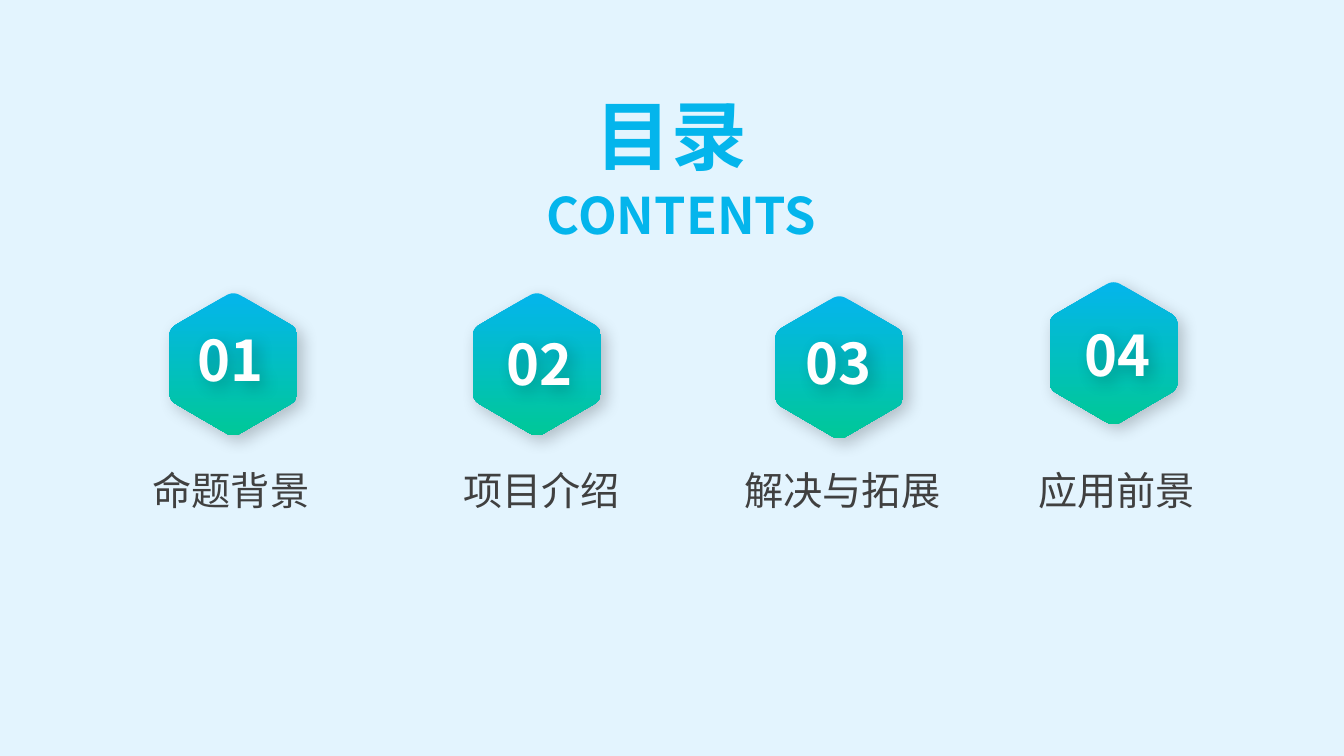
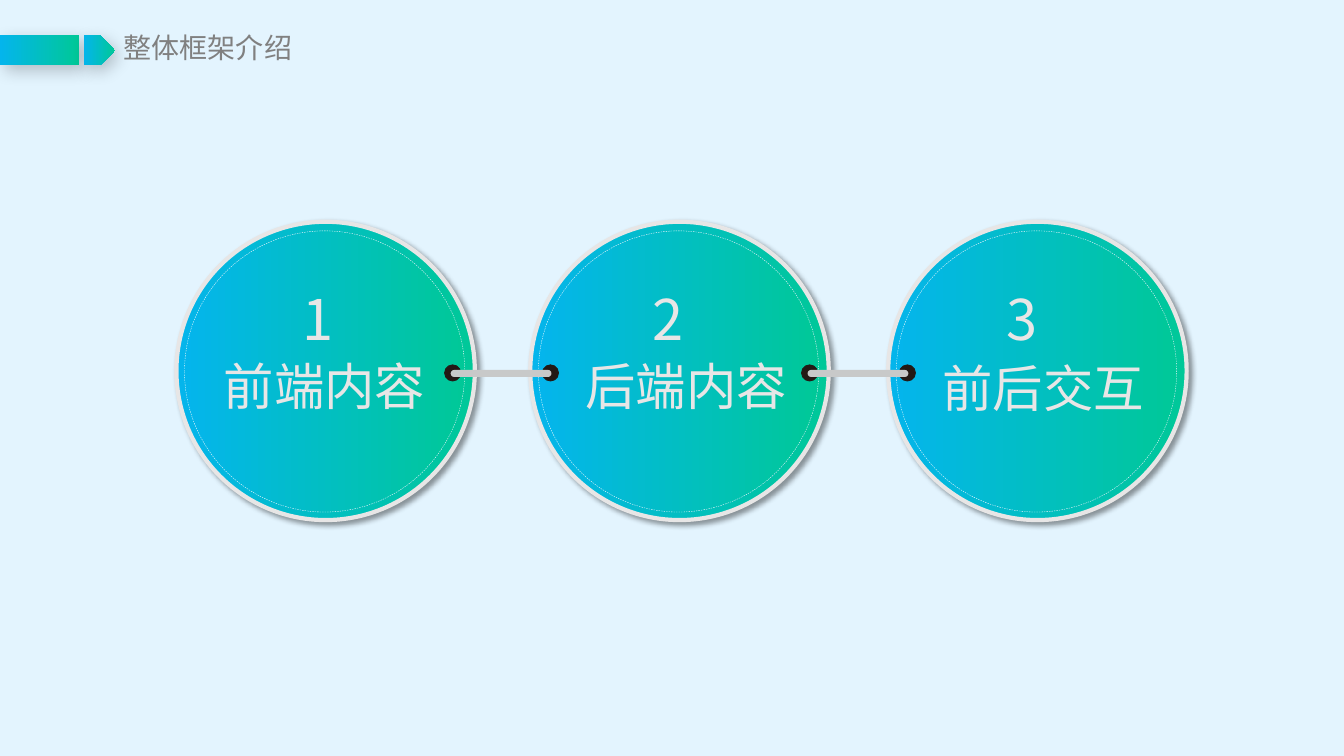
from lxml import etree
from pptx import Presentation
from pptx.dml.color import RGBColor
from pptx.enum.dml import MSO_LINE
from pptx.enum.shapes import MSO_SHAPE
from pptx.enum.text import MSO_ANCHOR, MSO_AUTO_SIZE, PP_ALIGN
from pptx.oxml.ns import qn
from pptx.util import Inches, Pt

RECT, ROUND = MSO_SHAPE.RECTANGLE, MSO_SHAPE.ROUNDED_RECTANGLE
OVAL, ARROW = MSO_SHAPE.OVAL, MSO_SHAPE.PENTAGON
LEFT, CENTER = PP_ALIGN.LEFT, PP_ALIGN.CENTER
TOP, MIDDLE = MSO_ANCHOR.TOP, MSO_ANCHOR.MIDDLE
GROW, FIXED = MSO_AUTO_SIZE.SHAPE_TO_FIT_TEXT, MSO_AUTO_SIZE.NONE
DASH = MSO_LINE.DASH

FONT = "Noto Sans CJK SC"
COLORS = {
    "back": "E3F4FE", "blue": "04B5EC", "green": "00C898", "leaf": "00C88A",
    "label": "404040", "head": "808080", "pale": "E7E6E6", "white": "FFFFFF",
    "dash": "FEFEFE", "dot": "231915", "bar": "C8C9C9", "black": "000000",
}
# opacity in percent, blur and distance in points
SOFT = (21, 12, 5)
CRISP = (40, 4, 3)

# hexagon left and top, number, number offset, label, label left and width
TOPICS = [
    (1.68, 2.91, "01", (-0.10, 0.42), "命题背景", 1.41, 1.76),
    (4.69, 2.91, "02", (-0.05, 0.46), "项目介绍", 4.49, 1.76),
    (7.69, 2.94, "03", (-0.08, 0.42), "解决与拓展", 7.27, 2.17),
    (10.41, 2.80, "04", (-0.04, 0.48), "应用前景", 10.19, 1.77),
]
# disc left, number, number offset, label, label offset
PARTS = [
    (1.75, "1", 1.15, "前端内容", (0.37, 1.27)),
    (5.26, "2", 1.11, "后端内容", (0.45, 1.27)),
    (8.81, "3", 1.07, "前后交互", (0.44, 1.29)),
]
LINKS = [4.41, 7.95]


def rgb(name):
    return RGBColor.from_string(COLORS[name])


def blend(fill, angle=0, end="green"):
    """Fill from blue to a second colour; the angle runs counter-clockwise."""
    fill.gradient()
    fill.gradient_angle = angle
    for stop, name in zip(fill.gradient_stops, ("blue", end)):
        stop.color.rgb = rgb(name)


def paint(fill, name):
    fill.solid()
    fill.fore_color.rgb = rgb(name)


def cast(shape, shade):
    """Give the shape a shadow that falls to the lower right."""
    shape.shadow.inherit = False
    if shade is None:
        return
    alpha, blur, dist = shade
    effects = shape._element.spPr.find(qn("a:effectLst"))
    outer = etree.SubElement(
        effects, qn("a:outerShdw"), blurRad=str(Pt(blur)), dist=str(Pt(dist)),
        dir="2700000", algn="tl", rotWithShape="0")
    color = etree.SubElement(outer, qn("a:srgbClr"), val=COLORS["black"])
    etree.SubElement(color, qn("a:alpha"), val=str(alpha * 1000))


def add_form(slide, kind, box, fill=None, line=None, width=0, shade=None):
    """Add a preset shape; without a fill name it gets the blend."""
    shape = slide.shapes.add_shape(kind, *map(Inches, box))
    if fill:
        paint(shape.fill, fill)
    else:
        blend(shape.fill)
    if line:
        paint(shape.line.fill, line)
        shape.line.width = Pt(width)
    else:
        shape.line.fill.background()
    cast(shape, shade)
    return shape


def add_text(slide, text, box, size, color=None, align=CENTER, bold=False,
             wrap=False, fit=GROW, anchor=TOP):
    """Add one line of text; without a colour name it gets the blend."""
    shape = slide.shapes.add_textbox(*map(Inches, box))
    frame = shape.text_frame
    frame.text = text
    frame.word_wrap = wrap
    frame.auto_size = fit
    frame.vertical_anchor = anchor
    para = frame.paragraphs[0]
    para.alignment = align
    font = para.runs[0].font
    font.size, font.bold, font.name = Pt(size), bold, FONT
    if color:
        paint(font.fill, color)
    else:
        blend(font.fill, end="leaf")
    props = para.runs[0]._r.get_or_add_rPr()
    etree.SubElement(props, qn("a:ea"), typeface=FONT)
    return shape


def mix(a, b, t):
    return tuple(p + (q - p) * t for p, q in zip(a, b))


def add_hex(slide, left, top, wide=1.27, high=1.41, cut=0.11):
    """Add an upright hexagon with its corners rounded by sampled curves."""
    mid, right, low = left + wide / 2, left + wide, top + high
    tips = [(mid, top - 0.02), (right, top + 0.35), (right, low - 0.35),
            (mid, low + 0.02), (left, low - 0.35), (left, top + 0.35)]
    points = []
    for i, tip in enumerate(tips):
        start = mix(tip, tips[i - 1], cut)
        end = mix(tip, tips[(i + 1) % 6], cut)
        for step in range(9):
            t = step / 8
            x, y = mix(mix(start, tip, t), mix(tip, end, t), t)
            points.append((Inches(x), Inches(y)))
    form = slide.shapes.build_freeform(*points[0], scale=1.0)
    form.add_line_segments(points[1:], close=True)
    shape = form.convert_to_shape()
    blend(shape.fill, 270)
    shape.line.fill.background()
    cast(shape, SOFT)


def add_topic(slide, left, top, num, shift, label, start, width):
    add_hex(slide, left, top)
    box = (left + shift[0], top + shift[1], 1.42, 0.47)
    mark = add_text(slide, num, box, 40, "white", bold=True, wrap=True,
                    fit=FIXED, anchor=MIDDLE)
    cast(mark, SOFT)
    add_text(slide, label, (start, 4.58, width, 0.57), 28, "label")


def add_head(slide, text, top=0.35):
    add_form(slide, RECT, (0, top, 0.78, 0.3), shade=SOFT)
    add_form(slide, ARROW, (0.83, top, 0.31, 0.3), shade=SOFT)
    add_text(slide, text, (1.13, top - 0.1, 3.73, 0.44), 20, "head", LEFT,
             wrap=True)


def add_disc(slide, left, top=2.2):
    add_form(slide, OVAL, (left, top, 2.96, 2.96), None, "pale", 3, CRISP)
    ring = add_form(slide, OVAL, (left + 0.08, top + 0.09, 2.78, 2.79), None,
                    "dash", 0.25)
    ring.line.dash_style = DASH


def add_link(slide, left, top=3.62):
    """Add two pins with a rounded bar between them."""
    for shift in (0, 0.97):
        add_form(slide, OVAL, (left + shift, top, 0.16, 0.16), "dot", "dot",
                 0.63)
    bar = add_form(slide, ROUND, (left + 0.06, top + 0.05, 1, 0.07), "bar")
    bar.adjustments[0] = 0.5


def add_names(slide, left, num, shift, label, place, top=2.2):
    box = (left + place[0], top + place[1], 2.2, 0.71)
    add_text(slide, label, box, 36, "pale", LEFT)
    add_text(slide, num, (left + shift, top + 0.57, 0.53, 0.77), 40, "pale",
             LEFT)


def new_slide(deck):
    slide = deck.slides.add_slide(deck.slide_layouts[6])
    paint(slide.background.fill, "back")
    return slide


def contents(deck):
    slide = new_slide(deck)
    add_text(slide, "目录", (4.93, 0.83, 3.45, 1.01), 54, bold=True, wrap=True)
    add_text(slide, "CONTENTS", (5.26, 1.78, 3, 0.71), 36, bold=True)
    for topic in TOPICS:
        add_topic(slide, *topic)


def outline(deck):
    slide = new_slide(deck)
    add_head(slide, "整体框架介绍")
    for part in PARTS:
        add_disc(slide, part[0])
    for left in LINKS:
        add_link(slide, left)
    for part in PARTS:
        add_names(slide, *part)


def main():
    deck = Presentation()
    deck.slide_width, deck.slide_height = Inches(13.33), Inches(7.5)
    contents(deck)
    outline(deck)
    deck.save("out.pptx")


if __name__ == "__main__":
    main()
